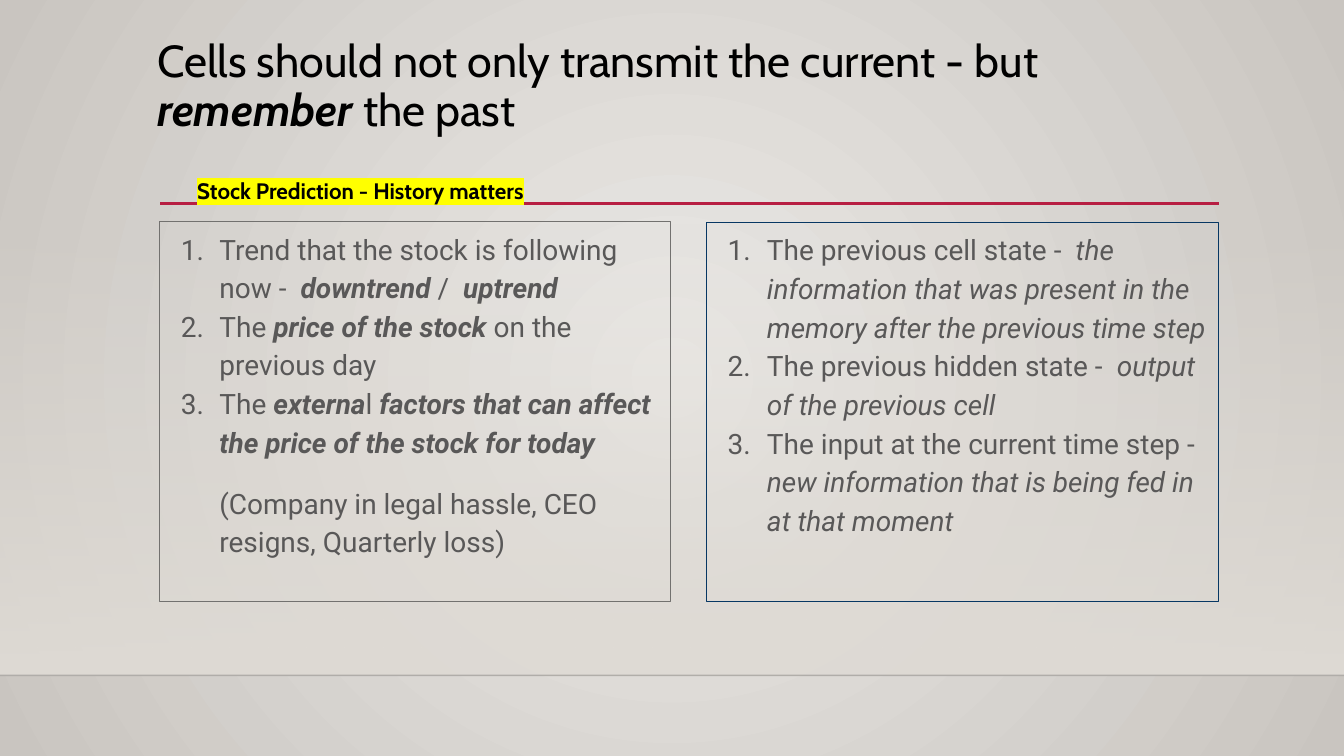
from dataclasses import dataclass

from lxml import etree
from pptx import Presentation
from pptx.dml.color import RGBColor
from pptx.enum.shapes import MSO_CONNECTOR, MSO_SHAPE
from pptx.enum.text import MSO_ANCHOR, PP_ALIGN
from pptx.oxml import parse_xml
from pptx.oxml.ns import nsdecls, qn
from pptx.util import Cm, Pt

RECTANGLE = MSO_SHAPE.RECTANGLE
STRAIGHT = MSO_CONNECTOR.STRAIGHT
TOP = MSO_ANCHOR.TOP
LEFT = PP_ALIGN.LEFT

COLOURS = {
    "centre": "EBE9E6",
    "edge": "C9C5C0",
    "floor": "DFDBD5",
    "horizon": "000001",
    "accent": "B71E42",
    "title": "000000",
    "body": "595858",
    "left_border": "72716F",
    "right_border": "073763",
    "highlight": "FFFF00",
}
WIDTH, HEIGHT = 33.87, 19.05
HORIZON = 17.02


@dataclass(frozen=True)
class Span:
    text: str
    bold: bool = False
    italic: bool = False


@dataclass(frozen=True)
class Para:
    spans: tuple[Span, ...]
    numbered: bool = False
    before: float = 0


@dataclass(frozen=True)
class TextStyle:
    font: str
    size: float
    colour: str
    spacing: float = 1.0
    margin: float = 0.13
    indent: float = 0
    hanging: float = 0
    highlight: str = ""


@dataclass(frozen=True)
class TextBlock:
    left: float
    top: float
    width: float
    height: float
    style: TextStyle
    paras: tuple[Para, ...]
    border: str = ""


@dataclass(frozen=True)
class Rule:
    left: float
    right: float
    y: float
    colour: str
    weight: float
    opacity: int = 100


def strong(text: str) -> Span:
    return Span(text, bold=True, italic=True)


def slanted(text: str) -> Span:
    return Span(text, italic=True)


def item(*spans: Span) -> Para:
    return Para(spans, numbered=True)


TITLE = TextStyle("Cabin", 32, "title", spacing=0.9)
LABEL = TextStyle("Cabin", 16, "title", margin=0.25, highlight="highlight")
LEFT_LIST = TextStyle("Roboto", 20, "body", spacing=1.15, indent=1.27, hanging=0.97)
RIGHT_LIST = TextStyle("Roboto", 20, "body", spacing=1.15, indent=1.27, hanging=0.99)

RULES = [
    Rule(0, WIDTH, HORIZON, "horizon", 1, opacity=20),
    Rule(4.04, 30.73, 5.13, "accent", 2.5),
]
BLOCKS = [
    TextBlock(3.71, 0.86, 27, 3.2, TITLE, (
        Para((Span("Cells should not only transmit the current - but "),
              strong("remember"), Span(" the past"))),
    )),
    TextBlock(4.01, 5.59, 12.9, 9.58, LEFT_LIST, (
        item(Span("Trend that the stock is following now -  "), strong("downtrend"),
             Span(" /  "), strong("uptrend")),
        item(Span("The "), strong("price of the stock"), Span(" on the previous day")),
        item(Span("The "), strong("externa"), Span("l "),
             strong("factors that can affect the price of the stock for today")),
        Para((Span("(Company in legal hassle, CEO resigns, Quarterly loss)"),), before=16),
    ), border="left_border"),
    TextBlock(17.81, 5.61, 12.9, 9.55, RIGHT_LIST, (
        item(Span("The previous cell state - "),
             slanted(" the information that was present in the memory"
                     " after the previous time step")),
        item(Span("The previous hidden state - "), slanted(" output of the previous cell")),
        item(Span("The input at the current time step - "),
             slanted(" new information that is being fed in at that moment")),
    ), border="right_border"),
    TextBlock(4.72, 4.22, 11.51, 1.19, LABEL, (
        Para((Span("Stock Prediction - History matters", bold=True),)),
    )),
]


def rgb(name: str) -> RGBColor:
    return RGBColor.from_string(COLOURS[name])


def set_gradient(parent, stops: list[tuple[int, str, int]], direction: str) -> None:
    marks = "".join(
        f'<a:gs pos="{place * 1000}"><a:srgbClr val="{COLOURS[name]}">'
        f'<a:alpha val="{opacity * 1000}"/></a:srgbClr></a:gs>'
        for place, name, opacity in stops
    )
    gradient = parse_xml(
        f'<a:gradFill {nsdecls("a")} rotWithShape="1"><a:gsLst>{marks}</a:gsLst>'
        f"{direction}</a:gradFill>"
    )
    parent.replace(parent.find(qn("a:solidFill")), gradient)


def draw_backdrop(page) -> None:
    fill = page.background.fill
    fill.solid()
    fill.fore_color.rgb = rgb("centre")
    set_gradient(
        page.background._cSld.bg.bgPr,
        [(0, "centre", 100), (100, "edge", 100)],
        '<a:path path="circle"><a:fillToRect l="50000" t="50000" r="50000" b="50000"/></a:path>',
    )
    top = 5.61
    floor = page.shapes.add_shape(RECTANGLE, 0, Cm(top), Cm(WIDTH), Cm(HORIZON - top))
    floor.shadow.inherit = False
    floor.line.fill.background()
    floor.fill.solid()
    set_gradient(
        floor._element.spPr,
        [(0, "floor", 0), (100, "floor", 100)],
        '<a:lin ang="5400000" scaled="0"/>',
    )


def draw_rule(page, rule: Rule) -> None:
    line = page.shapes.add_connector(
        STRAIGHT, Cm(rule.left), Cm(rule.y), Cm(rule.right), Cm(rule.y))
    line.line.color.rgb = rgb(rule.colour)
    line.line.width = Pt(rule.weight)
    properties = line._element.spPr
    colour = properties.find(".//" + qn("a:srgbClr"))
    etree.SubElement(colour, qn("a:alpha"), val=str(rule.opacity * 1000))
    etree.SubElement(properties, qn("a:effectLst"))


def add_number(properties, style: TextStyle) -> None:
    colour = etree.SubElement(properties, qn("a:buClr"))
    etree.SubElement(colour, qn("a:srgbClr"), val=COLOURS[style.colour])
    etree.SubElement(properties, qn("a:buFont"), typeface=style.font)
    etree.SubElement(properties, qn("a:buAutoNum"), type="arabicPeriod")


def write_span(paragraph, span: Span, style: TextStyle) -> None:
    run = paragraph.add_run()
    run.text = span.text
    formats = {"name": style.font, "size": Pt(style.size),
               "bold": span.bold, "italic": span.italic}
    for name, value in formats.items():
        setattr(run.font, name, value)
    run.font.color.rgb = rgb(style.colour)
    if style.highlight:
        mark = etree.Element(qn("a:highlight"))
        etree.SubElement(mark, qn("a:srgbClr"), val=COLOURS[style.highlight])
        run._r.rPr.find(qn("a:latin")).addprevious(mark)


def draw_block(page, block: TextBlock) -> None:
    style = block.style
    box = page.shapes.add_textbox(
        Cm(block.left), Cm(block.top), Cm(block.width), Cm(block.height))
    if block.border:
        box.line.color.rgb = rgb(block.border)
        box.line.width = Pt(0.75)
    frame = box.text_frame
    side = Cm(0.25)
    formats = {"word_wrap": True, "vertical_anchor": TOP,
               "margin_left": side, "margin_right": side,
               "margin_top": Cm(style.margin), "margin_bottom": Cm(style.margin)}
    for name, value in formats.items():
        setattr(frame, name, value)
    for index, para in enumerate(block.paras):
        paragraph = frame.add_paragraph() if index else frame.paragraphs[0]
        properties = paragraph._p.get_or_add_pPr()
        properties.set("marL", str(Cm(style.indent)))
        properties.set("indent", str(-Cm(style.hanging) if para.numbered else 0))
        if para.numbered:
            add_number(properties, style)
        spacing = {"alignment": LEFT, "line_spacing": style.spacing,
                   "space_before": Pt(para.before)}
        for name, value in spacing.items():
            setattr(paragraph, name, value)
        for span in para.spans:
            write_span(paragraph, span, style)


def main() -> None:
    deck = Presentation()
    deck.slide_width, deck.slide_height = Cm(WIDTH), Cm(HEIGHT)
    page = deck.slides.add_slide(deck.slide_layouts[6])
    draw_backdrop(page)
    for rule in RULES:
        draw_rule(page, rule)
    for block in BLOCKS:
        draw_block(page, block)
    deck.save("out.pptx")


if __name__ == "__main__":
    main()
